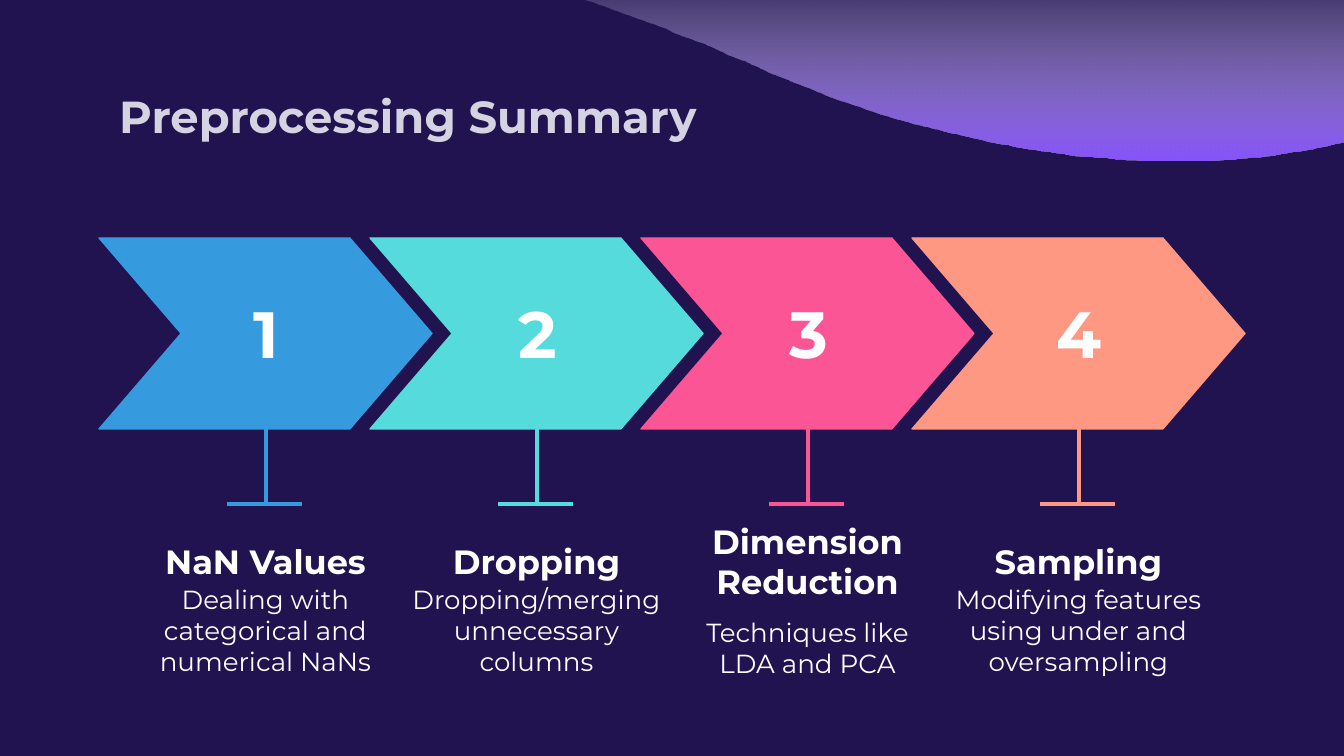
"""Build the preprocessing summary slide with four numbered steps."""
from dataclasses import dataclass

from lxml import etree
from pptx import Presentation
from pptx.dml.color import RGBColor
from pptx.enum.shapes import MSO_CONNECTOR as Connector, MSO_SHAPE as Shape
from pptx.enum.text import MSO_ANCHOR as Anchor, PP_ALIGN as Align
from pptx.oxml import parse_xml
from pptx.oxml.ns import nsdecls, qn
from pptx.util import Emu, Inches, Pt

SCALE = 914400 / 134.4


@dataclass(frozen=True)
class Theme:
    font: str = "Montserrat"
    background: str = "20134F"
    title: str = "D5D2E2"
    text: str = "FFFFFF"
    wave: str = "8854FD"
    title_size: int = 24
    number_size: int = 35
    heading_size: int = 18
    body_size: int = 14
    stem_width: float = 2.25
    outline_width: float = 0.75


THEME = Theme()
STEP_LEFT, STEP_PITCH = 99, 271
BODY_BOTTOM = 685
STEPS = [
    ("NaN Values", "Dealing with categorical and numerical NaNs", "369ADE", 575),
    ("Dropping", "Dropping/merging unnecessary columns", "56DBDC", 575),
    ("Dimension Reduction", "Techniques like LDA and PCA", "FC5596", 610),
    ("Sampling", "Modifying features using under and oversampling", "FE9883", 575),
]
WAVE_TOP = -39
WAVE = [
    (392, -15), (452, -22), (530, -13), (583, -1), (650, 23), (718, 50),
    (784, 78), (845, 102), (909, 122), (958, 134), (1023, 148), (1094, 157),
    (1165, 161), (1234, 159), (1300, 151), (1366, 136), (1429, 114), (1500, 83),
]


def px(*lengths):
    return [Emu(round(length * SCALE)) for length in lengths]


def color(value):
    return RGBColor.from_string(value)


def add_text(page, area, text, size, ink=THEME.text, bold=False,
             align=Align.CENTER, anchor=Anchor.MIDDLE):
    box = page.shapes.add_textbox(*px(*area))
    frame = box.text_frame
    frame.word_wrap = True
    frame.vertical_anchor = anchor
    frame.margin_left = frame.margin_right = Inches(0.1)
    frame.margin_top = frame.margin_bottom = Inches(0.1)
    para = frame.paragraphs[0]
    para.text = text
    para.alignment = align
    para.font.name = THEME.font
    para.font.size = Pt(size)
    para.font.bold = bold
    para.font.color.rgb = color(ink)


def add_chevron(page, area, ink):
    arrow = page.shapes.add_shape(Shape.CHEVRON, *px(*area))
    arrow.adjustments[0] = 0.43
    arrow.shadow.inherit = False
    arrow.fill.solid()
    arrow.fill.fore_color.rgb = color(ink)
    arrow.line.color.rgb = color(ink)
    arrow.line.width = Pt(THEME.outline_width)


def add_line(page, ends, ink):
    line = page.shapes.add_connector(Connector.STRAIGHT, *px(*ends))
    line.line.color.rgb = color(ink)
    line.line.width = Pt(THEME.stem_width)
    etree.SubElement(line._element.spPr, qn("a:effectLst"))


def smooth_curve(points, parts=5):
    """Sample a Catmull-Rom curve through the points."""
    padded = [points[0], *points, points[-1]]
    curve = []
    for a, b, c, d in zip(padded, padded[1:], padded[2:], padded[3:]):
        for part in range(parts):
            t = part / parts
            curve.append(tuple(
                b[k] + t / 2 * (c[k] - a[k]
                                + t * (2 * a[k] - 5 * b[k] + 4 * c[k] - d[k])
                                + t * t * (3 * b[k] - a[k] - 3 * c[k] + d[k]))
                for k in (0, 1)))
    return [*curve, points[-1]]


def add_wave(page):
    left, right = WAVE[0][0], WAVE[-1][0]
    outline = [*smooth_curve(WAVE), (right, WAVE_TOP)]
    builder = page.shapes.build_freeform(left, WAVE_TOP, scale=SCALE)
    builder.add_line_segments(outline, close=True)
    wave = builder.convert_to_shape()
    wave.shadow.inherit = False
    wave.line.fill.background()
    gradient = parse_xml(
        f'<a:gradFill {nsdecls("a")} rotWithShape="1"><a:gsLst>'
        f'<a:gs pos="0"><a:srgbClr val="{THEME.text}"><a:alpha val="0"/></a:srgbClr></a:gs>'
        f'<a:gs pos="100000"><a:srgbClr val="{THEME.wave}"/></a:gs>'
        '</a:gsLst><a:lin ang="5400000" scaled="0"/></a:gradFill>')
    wave._element.spPr.find(qn("a:custGeom")).addnext(gradient)


def add_step(page, index, heading, body, ink, body_top):
    left = STEP_LEFT + index * STEP_PITCH
    middle, bar, column = left + 167, left + 128, left + 26
    add_text(page, (column, 535, 281, 52), heading, THEME.heading_size, bold=True)
    add_text(page, (column, body_top, 281, BODY_BOTTOM - body_top), body, THEME.body_size)
    add_chevron(page, (left, 238, 333, 191), ink)
    add_line(page, (middle, 429, middle, 504), ink)
    add_line(page, (bar, 504, bar + 75, 504), ink)
    add_text(page, (bar, 280, 79, 107), str(index + 1), THEME.number_size,
             bold=True, anchor=Anchor.TOP)


def main():
    deck = Presentation()
    deck.slide_width, deck.slide_height = px(1344, 756)
    page = deck.slides.add_slide(deck.slide_layouts[6])
    page.background.fill.solid()
    page.background.fill.fore_color.rgb = color(THEME.background)
    add_text(page, (106, 79, 1132, 74), "Preprocessing Summary", THEME.title_size,
             ink=THEME.title, bold=True, align=Align.LEFT)
    for index, step in enumerate(STEPS):
        add_step(page, index, *step)
    add_wave(page)
    deck.save("out.pptx")


main()
